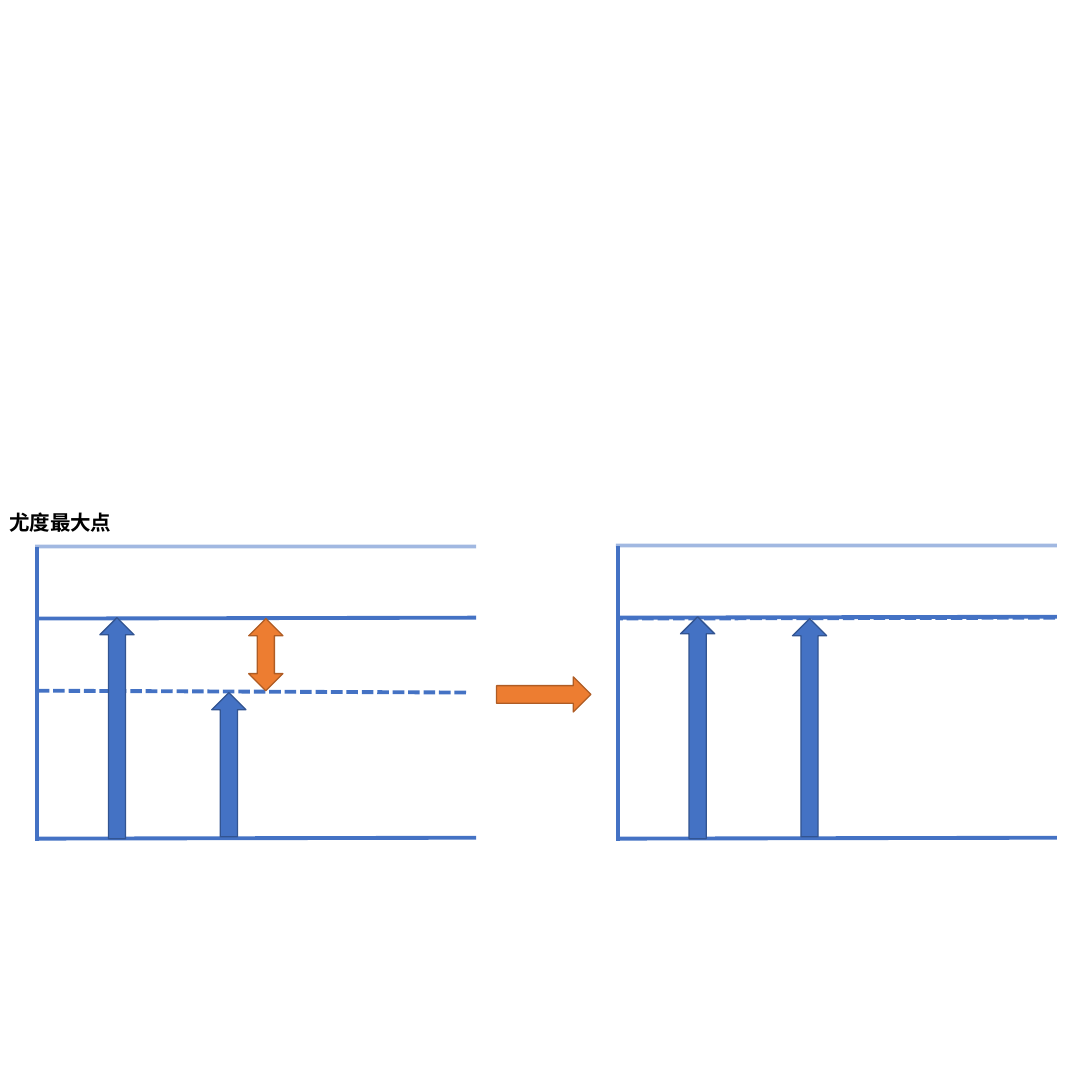
from lxml import etree
from pptx import Presentation, util as u
from pptx.dml import color as c
from pptx.enum import dml, shapes, text
from pptx.oxml import ns

THEME = {
    "blue": c.RGBColor.from_string("4472C4"),
    "blue_edge": c.RGBColor.from_string("325491"),
    "orange": c.RGBColor.from_string("ED7D31"),
    "orange_edge": c.RGBColor.from_string("AF5C24"),
    "text": c.RGBColor.from_string("000000"),
    "font": "Calibri",
    "label_size": u.Pt(16),
    "level_width": u.Pt(3),
    "edge_width": u.Pt(1),
}


def add_level(start, end, dash=None, alpha=None):
    ends = [u.Inches(v) for v in (*start, *end)]
    ln = s.shapes.add_connector(shapes.MSO_CONNECTOR.STRAIGHT, *ends)
    ln.line.color.rgb = THEME["blue"]
    for name, value in {"width": THEME["level_width"], "dash_style": dash}.items():
        setattr(ln.line, name, value)
    sp_pr = ln._element.spPr
    etree.SubElement(sp_pr, ns.qn("a:effectLst"))
    if alpha:
        clr = sp_pr.find(".//" + ns.qn("a:srgbClr"))
        etree.SubElement(clr, ns.qn("a:alpha"), val=str(alpha * 1000))


def add_arrow(kind, box, tone, rotation=0):
    sp = s.shapes.add_shape(kind, *[u.Inches(v) for v in box])
    sp.fill.solid()
    sp.fill.fore_color.rgb = THEME[tone]
    sp.line.color.rgb = THEME[tone + "_edge"]
    sp.line.width = THEME["edge_width"]
    sp.shadow.inherit = False
    sp.rotation = rotation


prs = Presentation()
prs.slide_width = prs.slide_height = u.Inches(11.81)
s = prs.slides.add_slide(prs.slide_layouts[6])

arrow = shapes.MSO_SHAPE
arrow_width = 0.37
base_y = 9.07

panels = [
    {"x": 0.4, "top": 5.91, "bound": ((5.04, 7.49), (0.41, 7.47)), "bound_tip": 7.49},
    {"x": 6.68, "top": 5.9, "bound": ((11.41, 6.68), (6.68, 6.69)), "bound_tip": 6.69},
]

for panel in panels:
    x, top = panel["x"], panel["top"]
    right = x + 4.75
    level = top + 0.77
    add_level((x, top + 0.01), (x, 9.1))
    add_level((right, base_y - 0.01), (x, base_y))
    add_level((right, top), (x - 0.02, top), alpha=49)
    add_level((right, level), (x + 0.01, level + 0.01))
    add_level(*panel["bound"], dash=dml.MSO_LINE.SQUARE_DOT)
    bars = [(0.68, level, base_y), (1.89, panel["bound_tip"], base_y - 0.02)]
    for offset, tip, foot in bars:
        add_arrow(arrow.DOWN_ARROW, (x + offset, tip, arrow_width, foot - tip), "blue", 180)

add_arrow(arrow.UP_DOWN_ARROW, (2.69, 6.69, arrow_width, 0.78), "orange")
add_arrow(arrow.RIGHT_ARROW, (5.37, 7.32, 1.02, 0.38), "orange")

tb = s.shapes.add_textbox(*[u.Inches(v) for v in (0, 5.47, 1.37, 0.37)])
tf = tb.text_frame
tf.word_wrap = False
tf.auto_size = text.MSO_AUTO_SIZE.SHAPE_TO_FIT_TEXT
r = tf.paragraphs[0].add_run()
r.text = "尤度最大点"
label_format = {"name": THEME["font"], "size": THEME["label_size"], "bold": True}
for name, value in label_format.items():
    setattr(r.font, name, value)
r.font.color.rgb = THEME["text"]

prs.save("out.pptx")
